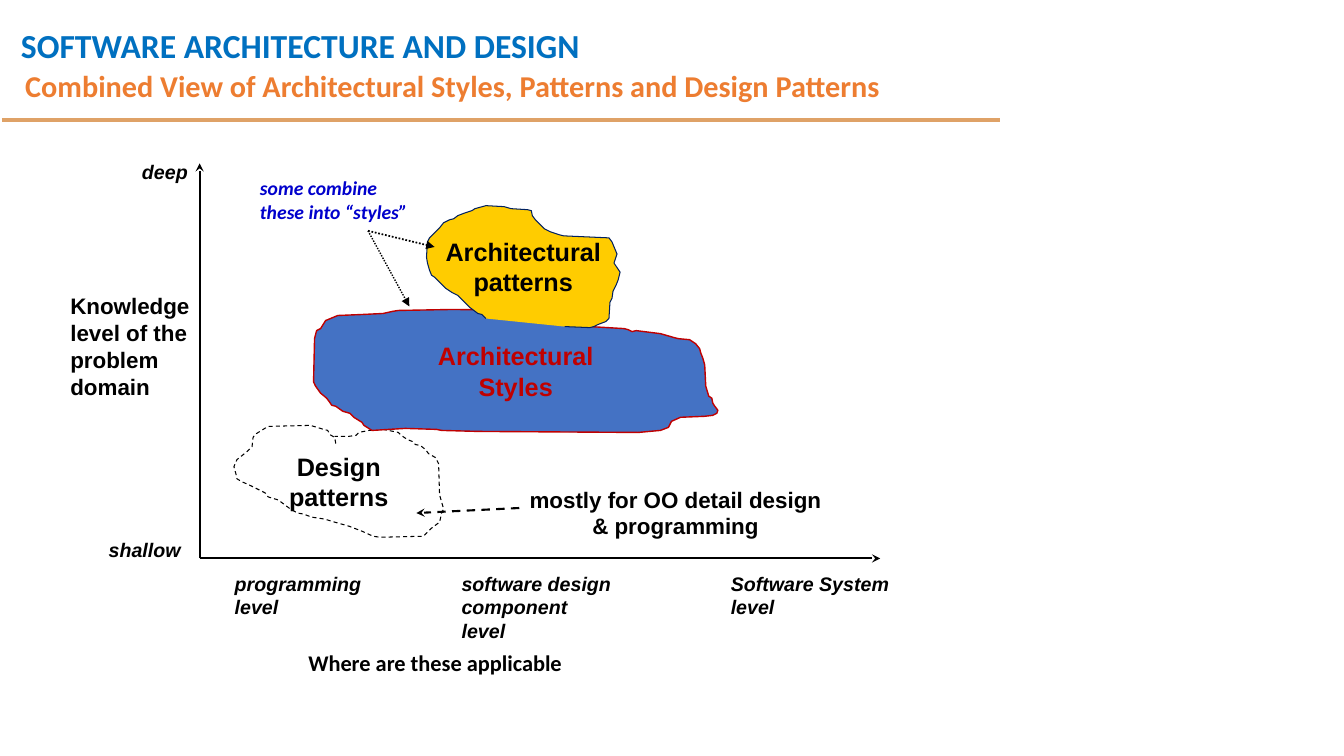
from lxml import etree
from pptx import Presentation
from pptx import util as u
from pptx.dml.color import RGBColor
from pptx.enum import dml, shapes, text
from pptx.oxml.ns import qn

BLACK = RGBColor(0x00, 0x00, 0x00)
HEADING_BLUE = RGBColor(0x00, 0x70, 0xC0)
TITLE_ORANGE = RGBColor(0xED, 0x7D, 0x31)
RULE_TAN = RGBColor(0xDF, 0xA2, 0x67)
NOTE_BLUE = RGBColor(0x00, 0x00, 0xCC)
STYLES_BLUE = RGBColor(0x44, 0x72, 0xC4)
STYLES_RED = RGBColor(0xC0, 0x00, 0x00)
PATTERNS_YELLOW = RGBColor(0xFF, 0xCC, 0x00)
PATTERNS_NAVY = RGBColor(0x00, 0x20, 0x60)
DASH = dml.MSO_LINE.DASH
DOT = dml.MSO_LINE.ROUND_DOT
LEFT, CENTER = text.PP_ALIGN.LEFT, text.PP_ALIGN.CENTER

DESIGN_OUTLINE = [
    (3.33, 4.4), (3.32, 4.34), (3.27, 4.31), (3.25, 4.27), (3.21, 4.26), (3.08, 4.22),
    (2.66, 4.23), (2.61, 4.26), (2.53, 4.31), (2.51, 4.34), (2.5, 4.43), (2.45, 4.48),
    (2.35, 4.56), (2.32, 4.63), (2.34, 4.7), (2.35, 4.75), (2.4, 4.78), (2.47, 4.81),
    (2.63, 4.89), (2.66, 4.93), (2.76, 4.96), (2.88, 5.05), (2.95, 5.09), (3.01, 5.1),
    (3.09, 5.13), (3.22, 5.15), (3.32, 5.18), (3.46, 5.22), (3.59, 5.27), (3.7, 5.32),
    (3.77, 5.33), (4.2, 5.32), (4.28, 5.24), (4.36, 5.18), (4.38, 5.09), (4.4, 5.05),
    (4.36, 4.91), (4.35, 4.6), (4.32, 4.54), (4.25, 4.5), (4.22, 4.46), (4.17, 4.42),
    (4.12, 4.41), (4.09, 4.38), (4.04, 4.36), (3.98, 4.32), (3.95, 4.29), (3.85, 4.27),
    (3.8, 4.26), (3.66, 4.27), (3.56, 4.29), (3.53, 4.32), (3.45, 4.33), (3.32, 4.33)]
STYLES_OUTLINE = [
    (3.69, 4.27), (3.61, 4.22), (3.59, 4.19), (3.51, 4.14), (3.47, 4.1), (3.4, 4.08),
    (3.33, 4.03), (3.29, 4.02), (3.27, 3.99), (3.24, 3.95), (3.18, 3.9), (3.13, 3.83),
    (3.11, 3.79), (3.12, 3.36), (3.14, 3.28), (3.18, 3.26), (3.23, 3.18), (3.35, 3.13),
    (3.59, 3.12), (3.8, 3.11), (3.89, 3.09), (3.95, 3.08), (4.49, 3.07), (5.33, 3.08),
    (5.4, 3.09), (5.52, 3.12), (5.56, 3.14), (5.64, 3.17), (5.73, 3.21), (5.85, 3.24),
    (6.19, 3.26), (6.23, 3.27), (6.27, 3.29), (6.31, 3.28), (6.55, 3.31), (6.69, 3.35),
    (6.73, 3.36), (6.84, 3.37), (6.9, 3.41), (6.94, 3.46), (6.95, 3.5), (6.97, 3.55),
    (6.99, 3.62), (7, 3.83), (7.03, 3.93), (7.06, 3.95), (7.07, 4), (7.09, 4.03),
    (7.12, 4.07), (7.11, 4.1), (7.07, 4.12), (6.99, 4.13), (6.75, 4.14), (6.66, 4.18),
    (6.63, 4.24), (6.55, 4.27), (6.33, 4.29), (4.74, 4.28), (4.38, 4.27), (4.33, 4.26),
    (4.02, 4.25)]
PATTERNS_OUTLINE = [
    (4.82, 3.16), (4.78, 3.12), (4.74, 3.11), (4.66, 3.05), (4.58, 2.97), (4.54, 2.93),
    (4.48, 2.9), (4.42, 2.86), (4.31, 2.75), (4.28, 2.73), (4.26, 2.68), (4.24, 2.61),
    (4.23, 2.55), (4.24, 2.4), (4.26, 2.36), (4.31, 2.31), (4.36, 2.26), (4.4, 2.21),
    (4.46, 2.18), (4.5, 2.17), (4.54, 2.14), (4.59, 2.12), (4.68, 2.09), (4.71, 2.07),
    (4.82, 2.04), (5, 2.05), (5.07, 2.07), (5.23, 2.08), (5.27, 2.09), (5.28, 2.14),
    (5.31, 2.18), (5.36, 2.23), (5.4, 2.27), (5.46, 2.3), (5.55, 2.33), (5.59, 2.34),
    (6.04, 2.36), (6.07, 2.4), (6.12, 2.52), (6.09, 2.61), (6.15, 2.7), (6.13, 2.78),
    (6.11, 2.83), (6.08, 2.89), (6.07, 2.96), (6.05, 3), (6.04, 3.16), (6.01, 3.19),
    (5.93, 3.22), (5.89, 3.24), (5.85, 3.25), (5.6, 3.24)]


def write(tf, words, size, color, font="Arial", italic=False, align=LEFT, spacing=None):
    """Fill a text frame with bold lines, one paragraph each."""
    tf.text = words
    tf.word_wrap = True
    tf.auto_size = text.MSO_AUTO_SIZE.NONE
    for p in tf.paragraphs:
        p.alignment = align
        p.line_spacing = spacing
        for r in p.runs:
            r.font.name = font
            r.font.size = u.Pt(size)
            r.font.bold = True
            r.font.italic = italic
            r.font.color.rgb = color


def add_label(s, box, words, size, color=BLACK, **style):
    """Add a text box at (left, top, width, height)."""
    sp = s.shapes.add_textbox(*map(u.Inches, box))
    write(sp.text_frame, words, size, color, **style)


def add_line(s, start, end, width, color=BLACK, dash=None, head=None):
    """Add a straight line, with an arrowhead at its end if one is named."""
    cx = s.shapes.add_connector(shapes.MSO_CONNECTOR.STRAIGHT, *map(u.Inches, start + end))
    cx.line.color.rgb = color
    cx.line.width = u.Pt(width)
    if dash:
        cx.line.dash_style = dash
    if head:
        etree.SubElement(cx.line._get_or_add_ln(), qn("a:tailEnd"), type=head)
    etree.SubElement(cx._element.spPr, qn("a:effectLst"))


def add_cloud(s, outline, words, color, line, width, fill=None, dash=None, close=False):
    """Add an irregular region with a centred label."""
    points = [(u.Inches(x), u.Inches(y)) for x, y in outline]
    builder = s.shapes.build_freeform(*points[0])
    builder.add_line_segments(points[1:], close=close)
    sp = builder.convert_to_shape()
    sp.shadow.inherit = False
    if fill is None:
        sp.fill.background()
    else:
        sp.fill.solid()
        sp.fill.fore_color.rgb = fill
    sp.line.color.rgb = line
    sp.line.width = u.Pt(width)
    if dash:
        sp.line.dash_style = dash
    sp.text_frame.vertical_anchor = text.MSO_ANCHOR.MIDDLE
    write(sp.text_frame, words, 18, color, align=CENTER)


def add_header(s):
    """Add the course heading, the slide title and the rule below them."""
    add_label(s, (0.11, 0, 7.68, 0.64), "SOFTWARE ARCHITECTURE AND DESIGN", 24,
              HEADING_BLUE, font="Calibri", spacing=1.5)
    add_line(s, (0.02, 1.19), (9.92, 1.19), 3, RULE_TAN)
    title = s.shapes.title
    title.left, title.top, title.width, title.height = map(u.Inches, (0.15, 0.57, 9.58, 0.61))
    title.text_frame.vertical_anchor = text.MSO_ANCHOR.MIDDLE
    write(title.text_frame, "Combined View of Architectural Styles, Patterns and Design Patterns",
          21.6, TITLE_ORANGE, font="Calibri", spacing=0.9)


def add_axes(s):
    """Add both axes with their names and level labels."""
    origin = (1.98, 5.54)
    for end in ((1.98, 1.62), (8.73, 5.54)):
        add_line(s, origin, end, 1.5, head="stealth")
    add_label(s, (0.6, 2.85, 1.46, 1.18), "Knowledge\nlevel of the\nproblem\ndomain", 16)
    levels = [
        ((1.31, 1.54, 0.75, 0.34), "deep"),
        ((0.98, 5.29, 1, 0.34), "shallow"),
        ((2.23, 5.62, 1.6, 0.57), "programming\nlevel"),
        ((4.48, 5.62, 1.8, 0.81), "software design\ncomponent\nlevel"),
        ((7.15, 5.62, 1.9, 0.57), "Software System\nlevel")]
    for box, words in levels:
        add_label(s, box, words, 14, italic=True)
    add_label(s, (2.96, 6.39, 3.1, 0.37), "Where are these applicable", 16, font="Calibri")


def add_notes_with_arrows(s):
    """Add the two remarks and the arrows to the regions they concern."""
    add_line(s, (5.15, 5.04), (4.13, 5.09), 1.5, dash=DASH, head="stealth")
    add_label(s, (5.06, 4.77, 3.28, 0.64), "mostly for OO detail design\n& programming", 16,
              align=CENTER)
    add_label(s, (2.48, 1.7, 1.91, 0.57), "some combine\nthese into “styles”", 14, NOTE_BLUE,
              font="Calibri", italic=True)
    for end, width in (((4.31, 2.45), 1.25), ((4.06, 3.04), 1)):
        add_line(s, (3.65, 2.29), end, width, dash=DOT, head="triangle")


def main():
    """Build the slide and save it."""
    prs = Presentation()
    prs.slide_width, prs.slide_height = u.Inches(13.33), u.Inches(7.5)
    s = prs.slides.add_slide(prs.slide_layouts[5])
    add_header(s)
    add_axes(s)
    add_cloud(s, DESIGN_OUTLINE, "Design\npatterns", BLACK, BLACK, 0.75, dash=DASH)
    add_cloud(s, STYLES_OUTLINE, "Architectural\nStyles", STYLES_RED, STYLES_RED, 1,
              fill=STYLES_BLUE, close=True)
    add_cloud(s, PATTERNS_OUTLINE, "Architectural\npatterns", BLACK, PATTERNS_NAVY, 0.75,
              fill=PATTERNS_YELLOW)
    add_notes_with_arrows(s)
    prs.save("out.pptx")


if __name__ == "__main__":
    main()
